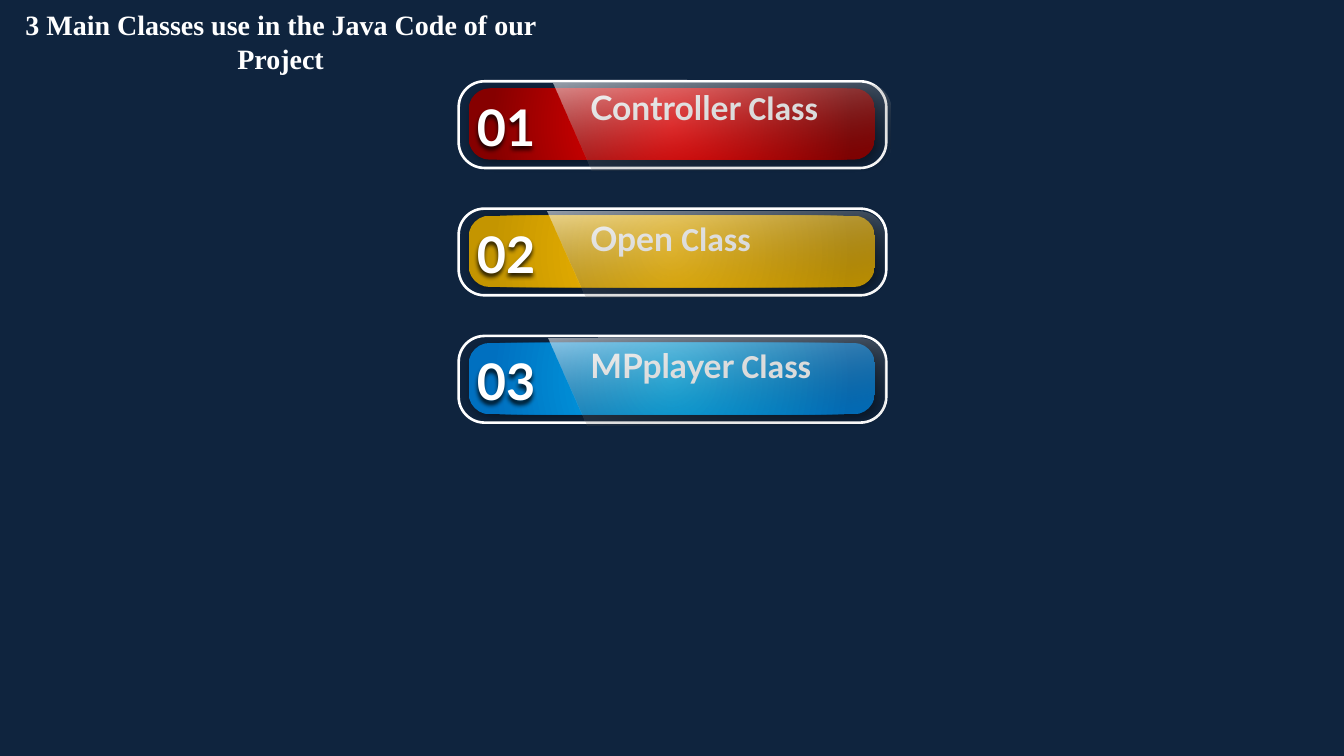
"""Build a dark slide with three glossy numbered class banners."""
from math import cos, pi, sin

from pptx import Presentation
from pptx.dml.color import RGBColor
from pptx.enum.shapes import MSO_SHAPE
from pptx.enum.text import MSO_ANCHOR, MSO_AUTO_SIZE, PP_ALIGN
from pptx.oxml import parse_xml
from pptx.oxml.ns import nsdecls, qn
from pptx.util import Cm, Pt

TITLE = "3 Main Classes use in the Java Code of our Project"
BACKGROUND, WHITE, BLACK = "0F243E", "FFFFFF", "000000"
BANNERS = [
    {"number": "01", "name": "Controller ", "colors": ("FF0000", "860000"), "label_top": 2.51, "gloss_left": 16.74},
    {"number": "02", "name": "Open ", "colors": ("FFC000", "C49500"), "label_top": 6.45, "gloss_left": 16.56},
    {"number": "03", "name": "MPplayer ", "colors": ("00B0F0", "0070C0"), "label_top": 10.31, "gloss_left": 16.59},
]
PITCH = 3.85
CORNER = 0.298
GLOSS_WIDTH, GLOSS_HEIGHT, GLOSS_SLANT, GLOSS_RADIUS = 10.2, 2.62, 1.18, 0.78
CIRCLE = '<a:path path="circle"><a:fillToRect l="50000" t="50000" r="50000" b="50000"/></a:path>'
SLOPE = f'<a:lin ang="{80 * 60000}" scaled="0"/>'


def color(value):
    return RGBColor.from_string(value)


def set_gradient(shape, stops, direction):
    stop_xml = "".join(
        f'<a:gs pos="{position * 1000}"><a:srgbClr val="{value}"><a:alpha val="{alpha * 1000}"/></a:srgbClr></a:gs>'
        for position, value, alpha in stops)
    shape.fill.solid()
    properties = shape._element.spPr
    gradient = parse_xml(f'<a:gradFill {nsdecls("a")} rotWithShape="1"><a:gsLst>{stop_xml}</a:gsLst>{direction}</a:gradFill>')
    properties.replace(properties.find(qn("a:solidFill")), gradient)


def set_shadow(shape, alpha, blur, distance, angle):
    shape.shadow.inherit = False
    shape._element.spPr.find(qn("a:effectLst")).append(parse_xml(
        f'<a:outerShdw {nsdecls("a")} blurRad="{Pt(blur)}" dist="{Pt(distance)}" dir="{angle * 60000}" '
        f'algn="tl" rotWithShape="0"><a:srgbClr val="{BLACK}"><a:alpha val="{alpha * 1000}"/></a:srgbClr></a:outerShdw>'))


def write(box, spans, size, align=PP_ALIGN.LEFT):
    frame = box.text_frame
    frame.word_wrap = True
    frame.auto_size = MSO_AUTO_SIZE.NONE
    frame.vertical_anchor = MSO_ANCHOR.TOP
    para = frame.paragraphs[0]
    para.alignment = align
    for text, font in spans:
        span = para.add_run()
        span.text = text
        span.font.name, span.font.size, span.font.bold = font, Pt(size), True
        span.font.color.rgb = color(WHITE)


def add_rounded(slide, left, top, width, height):
    shape = slide.shapes.add_shape(MSO_SHAPE.ROUNDED_RECTANGLE, Cm(left), Cm(top), Cm(width), Cm(height))
    shape.adjustments[0] = CORNER
    shape.shadow.inherit = False
    return shape


def add_gloss(slide, left, top):
    right, bottom, radius = left + GLOSS_WIDTH, top + GLOSS_HEIGHT, GLOSS_RADIUS
    points = []
    for center_y, start in ((top + radius, -pi / 2), (bottom - radius, 0)):
        for step in range(13):
            angle = start + step * pi / 24
            points.append((right - radius + radius * cos(angle), center_y + radius * sin(angle)))
    points.append((left + GLOSS_SLANT, bottom))
    builder = slide.shapes.build_freeform(Cm(left), Cm(top))
    builder.add_line_segments([(Cm(x), Cm(y)) for x, y in points], close=True)
    gloss = builder.convert_to_shape()
    gloss.shadow.inherit = False
    gloss.line.fill.background()
    set_gradient(gloss, [(0, WHITE, 56), (100, BLACK, 0)], SLOPE)


def add_banner(slide, row, banner):
    offset = row * PITCH
    inner, outer = banner["colors"]
    bar = add_rounded(slide, 14.17, 2.67 + offset, 12.29, 2.16)
    bar.line.fill.background()
    set_gradient(bar, [(0, inner, 100), (88, outer, 100)], CIRCLE)
    set_shadow(bar, 40, 9, 3, 45)

    frame = add_rounded(slide, 13.87, 2.46 + offset, 12.93, 2.62)
    frame.fill.background()
    frame.line.color.rgb = color(WHITE)
    frame.line.width = Pt(2.25)

    number = slide.shapes.add_textbox(Cm(14.17), Cm(2.77 + offset), Cm(2.41), Cm(2.11))
    write(number, [(banner["number"], "Lato")], 43.2)
    set_shadow(number, 80, 4, 3, 90)
    label = slide.shapes.add_textbox(Cm(17.6), Cm(banner["label_top"]), Cm(7.87), Cm(1.5))
    write(label, [(banner["name"], "Lato"), ("Class", "Calibri")], 28.8)
    add_gloss(slide, banner["gloss_left"], 2.54 + offset)


def main():
    deck = Presentation()
    deck.slide_width, deck.slide_height = Cm(40.64), Cm(22.86)
    page = deck.slides.add_slide(deck.slide_layouts[5])
    page.background.fill.solid()
    page.background.fill.fore_color.rgb = color(BACKGROUND)
    title = page.shapes.title
    title.left, title.top, title.width, title.height = Cm(-0.61), Cm(0.1), Cm(18.19), Cm(2.31)
    write(title, [(TITLE, "Times New Roman")], 24, align=PP_ALIGN.CENTER)
    for row, banner in enumerate(BANNERS):
        add_banner(page, row, banner)
    deck.save("out.pptx")


if __name__ == "__main__":
    main()
